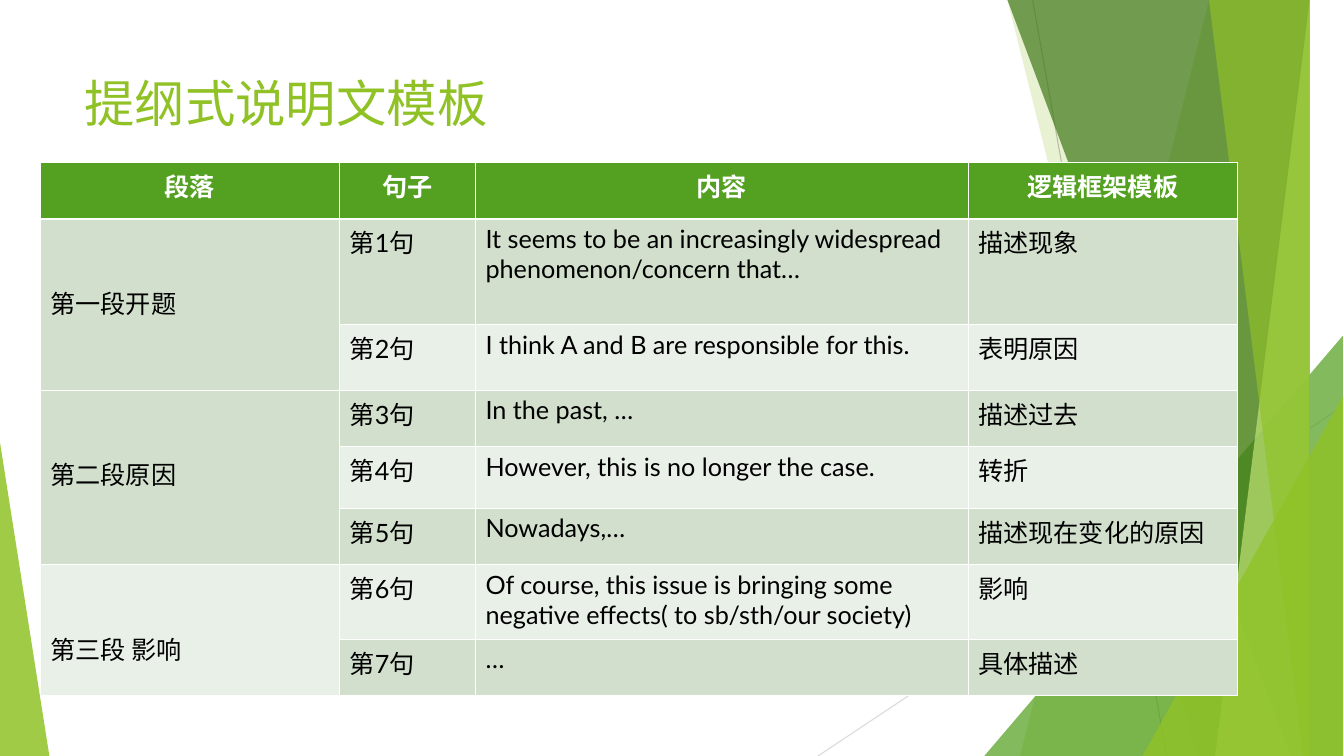
from lxml import etree
from pptx import Presentation
from pptx import util as u
from pptx.dml.color import RGBColor
from pptx.enum import shapes, text
from pptx.oxml import ns

# Content
TITLE = "提纲式说明文模板"
HEADERS = ["段落", "句子", "内容", "逻辑框架模板"]
SECTIONS = [
    ("第一段开题", [
        ("It seems to be an increasingly widespread phenomenon/concern that…", "描述现象"),
        ("I think A and B are responsible for this.", "表明原因")]),
    ("第二段原因", [
        ("In the past, …", "描述过去"),
        ("However, this is no longer the case.", "转折"),
        ("Nowadays,…", "描述现在变化的原因")]),
    ("第三段 影响", [
        ("Of course, this issue is bringing some negative effects( to sb/sth/our society)", "影响"),
        ("…", "具体描述")]),
]

# Grid, in inches
WIDTH, HEIGHT = 13.34, 7.5
RIGHT = 13.33
TABLE_LEFT, TABLE_TOP = 0.4, 1.61
COLUMNS = [2.97, 1.35, 4.89, 2.67]
ROWS = [0.56, 1.05, 0.65, 0.56, 0.61, 0.56, 0.74, 0.56]
SECTION_INSET = 0.65

# Colours
WHITE = RGBColor(0xFF, 0xFF, 0xFF)
BLACK = RGBColor(0, 0, 0)
LIME = RGBColor(0x90, 0xC2, 0x26)
GREEN = RGBColor(0x54, 0xA0, 0x21)
FOREST = RGBColor(0x3F, 0x78, 0x19)
PALE_LIME = RGBColor(0xC0, 0xE4, 0x74)
BANDS = [RGBColor(0xD1, 0xDF, 0xCC), RGBColor(0xE9, 0xF0, 0xE8)]
GREY = RGBColor(0xBF, 0xBF, 0xBF)
LIGHT_GREY = RGBColor(0xD9, 0xD9, 0xD9)
FONT = "Lato"

# Backdrop: rays (start, end, colour), then facets from back to front
RAYS = [((10.25, 0), (11.58, HEIGHT), GREY),
        ((RIGHT, 4.03), (8.12, HEIGHT), LIGHT_GREY)]
# A slant is (top x, bottom x); a wedge is (left, top, width, apex share)
FACETS = [
    ("slant", (12.28, 10.04), LIME, 30),
    ("slant", (10.5, 11.82), LIME, 20),
    ("wedge", (9.77, 3.33, 3.56, 1), GREEN, 72),
    ("slant", (10.21, 12.91), FOREST, 70),
    ("slant", (13.03, 11.92), PALE_LIME, 70),
    ("slant", (11.96, 13.18), LIME, 65),
    ("wedge", (11.34, 3.93, 1.99, 1), LIME, 80),
    ("wedge", (0, 4.39, 0.49, 0), LIME, 85),
]


def write(frame, words, size=18, color=BLACK, bold=False, align=text.PP_ALIGN.LEFT):
    frame.word_wrap = True
    para = frame.paragraphs[0]
    para.alignment = align
    span = para.add_run()
    span.text = words
    span.font.name, span.font.size, span.font.bold = FONT, u.Pt(size), bold
    span.font.color.rgb = color


def draw_ray(page, start, end, color):
    ray = page.shapes.add_connector(shapes.MSO_CONNECTOR.STRAIGHT,
                                    *[u.Inches(value) for value in start + end])
    ray.line.color.rgb = color
    ray.line.width = u.Pt(0.75)
    etree.SubElement(ray._element.spPr, ns.qn("a:effectLst"))


def draw_facet(page, kind, geometry, color, opacity):
    if kind == "slant":
        top, bottom = geometry
        builder = page.shapes.build_freeform(top, 0, scale=u.Inches(1))
        builder.add_line_segments([(RIGHT, 0), (RIGHT, HEIGHT), (bottom, HEIGHT)])
        facet = builder.convert_to_shape()
    else:
        left, top, width, apex = geometry
        facet = page.shapes.add_shape(
            shapes.MSO_SHAPE.ISOSCELES_TRIANGLE,
            *[u.Inches(value) for value in (left, top, width, HEIGHT - top)])
        facet.adjustments[0] = apex
    facet.shadow.inherit = False
    facet.line.fill.background()
    facet.fill.solid()
    facet.fill.fore_color.rgb = color
    tint = facet._element.spPr.find(ns.qn("a:solidFill"))[0]
    etree.SubElement(tint, ns.qn("a:alpha"), val=str(opacity * 1000))


def style_cell(cell, fill, row):
    cell.fill.solid()
    cell.fill.fore_color.rgb = fill
    heavy = {0: "lnB", 1: "lnT"}.get(row)
    for place, side in enumerate(("lnL", "lnR", "lnT", "lnB")):
        border = etree.Element(ns.qn("a:" + side))
        border.set("w", str(u.Pt(1.47 if side == heavy else 0.45)))
        paint = etree.SubElement(border, ns.qn("a:solidFill"))
        etree.SubElement(paint, ns.qn("a:srgbClr"), val=str(WHITE))
        cell._tc.get_or_add_tcPr().insert(place, border)


def draw_table(page):
    table = page.shapes.add_table(
        len(ROWS), len(COLUMNS), u.Inches(TABLE_LEFT), u.Inches(TABLE_TOP),
        u.Inches(sum(COLUMNS)), u.Inches(sum(ROWS))).table
    for column, width in zip(table.columns, COLUMNS):
        column.width = u.Inches(width)
    for line, height in zip(table.rows, ROWS):
        line.height = u.Inches(height)

    # Header row
    for index, words in enumerate(HEADERS):
        cell = table.cell(0, index)
        style_cell(cell, GREEN, 0)
        write(cell.text_frame, words, color=WHITE, bold=True, align=text.PP_ALIGN.CENTER)

    # One merged cell per section, one row per sentence
    row = 1
    for name, sentences in SECTIONS:
        first, last = row, row + len(sentences) - 1
        section = table.cell(first, 0)
        for sentence, role in sentences:
            band = BANDS[(row - 1) % 2]
            style_cell(table.cell(row, 0), BANDS[(first - 1) % 2], row)
            for index, words in enumerate((f"第{row}句", sentence, role), start=1):
                cell = table.cell(row, index)
                style_cell(cell, band, row)
                write(cell.text_frame, words)
            row += 1
        section.merge(table.cell(last, 0))
        section.margin_top = u.Inches(SECTION_INSET)
        write(section.text_frame, name)


def main():
    deck = Presentation()
    deck.slide_width, deck.slide_height = u.Inches(WIDTH), u.Inches(HEIGHT)
    page = deck.slides.add_slide(deck.slide_layouts[6])
    for ray in RAYS:
        draw_ray(page, *ray)
    for facet in FACETS:
        draw_facet(page, *facet)
    box = page.shapes.add_textbox(*[u.Inches(value) for value in (0.74, 0.67, 9.4, 1.44)])
    write(box.text_frame, TITLE, size=36, color=LIME)
    draw_table(page)
    deck.save("out.pptx")


if __name__ == "__main__":
    main()
